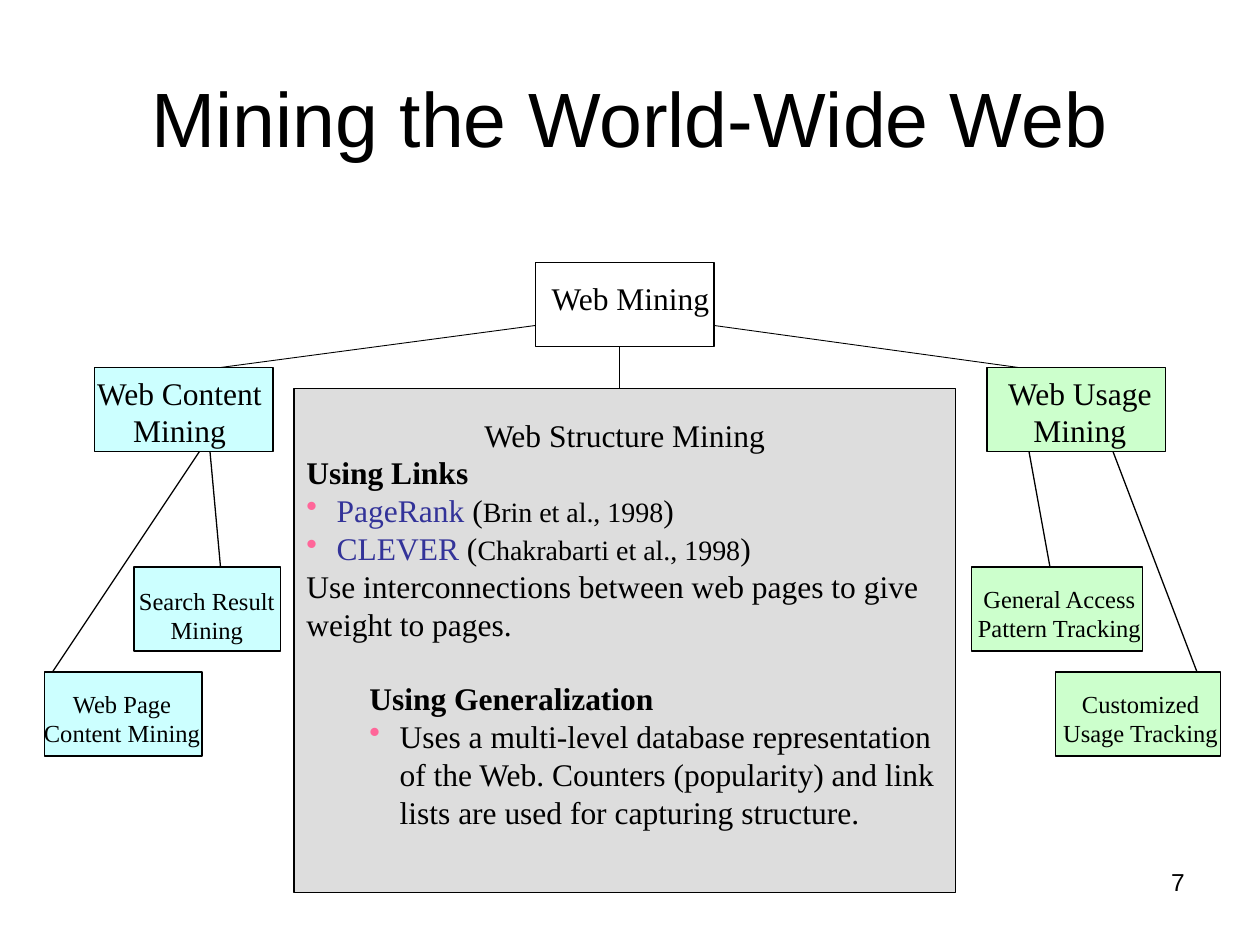
from dataclasses import dataclass
from lxml.etree import SubElement
from pptx import Presentation
from pptx.dml.color import RGBColor
from pptx.enum.shapes import MSO_CONNECTOR, MSO_SHAPE
from pptx.enum.text import MSO_ANCHOR, MSO_AUTO_SIZE, PP_ALIGN
from pptx.oxml.ns import qn
from pptx.util import Inches, Pt


@dataclass(frozen=True)
class Theme:
    ink: str = "000000"
    term: str = "333399"
    bullet: str = "FF6699"
    panel: str = "DDDDDD"
    content: str = "CCFFFF"
    usage: str = "CCFFCC"
    sans: str = "Arial"
    serif: str = "Times New Roman"
    title: int = 44
    body: int = 18
    cite: int = 16
    small: int = 14
    border: float = 0.75
    thin: float = 0.5


THEME = Theme()
COLUMNS, ROWS = 120, 90
NODE_HEIGHT = 8
LABEL_HEIGHT = {(THEME.body, 1): 4.8, (THEME.body, 2): 8.4, (THEME.small, 2): 6.85}

TITLE = "Mining the World-Wide Web"
PAGE_NUMBER = "7"
PANEL = (28, 37, 63, 48)
PANEL_TEXT = (28, 39, 63, 40.8)

# text, fill, size, box (column, row, width), label (column, row, width)
NODES = [
    ("Web Mining", None, THEME.body, (51, 25, 17), (51.25, 26, 17.6)),
    ("Web Content\nMining", THEME.content, THEME.body, (9, 35, 17), (8, 35, 18.2)),
    ("Search Result\nMining", THEME.content, THEME.small, (12.75, 54, 14), (12, 55.2, 15.4)),
    ("Web Page\nContent Mining", THEME.content, THEME.small, (4.25, 64, 15), (3, 65, 17.25)),
    ("Web Usage\nMining", THEME.usage, THEME.body, (94, 35, 17), (94.7, 35, 16.3)),
    ("General Access\nPattern Tracking", THEME.usage, THEME.small, (92.5, 54, 16.3), (91.9, 55, 18)),
    ("Customized\nUsage Tracking", THEME.usage, THEME.small, (100.5, 64, 15.75), (100, 65, 17.25)),
]

BRANCHES = [
    ((59, 33), (59, 37), THEME.border),
    ((20, 43), (21, 54), THEME.border),
    ((19, 43), (5, 64), THEME.border),
    ((98, 43), (100, 54), THEME.border),
    ((106, 43), (114, 64), THEME.border),
    ((68, 31), (97, 35), THEME.thin),
    ((51, 31), (21, 35), THEME.thin),
]

HEADING, PLAIN, ITEM, CENTRED = "heading", "plain", "item", "centred"
STRUCTURE = [
    (CENTRED, 0, 0, ["Web Structure Mining"]),
    (HEADING, 0, 0, ["Using Links"]),
    (ITEM, 0, 0, ["PageRank", " (", "Brin et al., 1998", ")"]),
    (ITEM, 0, 0, ["CLEVER", " (", "Chakrabarti et al., 1998", ")"]),
    (PLAIN, 0, 0, ["Use interconnections between web pages to give weight to pages."]),
    (HEADING, 0.5, 21, ["Using Generalization"]),
    (ITEM, 0.5, 0, ["Uses a multi-level database representation of the Web. Counters "
                    "(popularity) and link lists are used for capturing structure."]),
]
CITATION_STYLE = [(THEME.body, THEME.term), (THEME.body, THEME.ink),
                  (THEME.cite, THEME.ink), (THEME.body, THEME.ink)]
HANGING = 0.24


def style(span, size, font=THEME.serif, color=THEME.ink, bold=False):
    span.font.size = Pt(size)
    span.font.name = font
    span.font.bold = bold
    span.font.color.rgb = RGBColor.from_string(color)


def add_text(page, place, text, size, font=THEME.serif, align=PP_ALIGN.CENTER, wrap=True):
    box = page.shapes.add_textbox(*place)
    frame = box.text_frame
    frame.word_wrap = wrap
    frame.text = text
    for para in frame.paragraphs:
        para.alignment = align
        for span in para.runs:
            style(span, size, font)
    return frame


def add_box(page, place, fill):
    box = page.shapes.add_shape(MSO_SHAPE.RECTANGLE, *place)
    box.shadow.inherit = False
    if fill:
        box.fill.solid()
        box.fill.fore_color.rgb = RGBColor.from_string(fill)
    else:
        box.fill.background()
    box.line.color.rgb = RGBColor.from_string(THEME.ink)
    box.line.width = Pt(THEME.border)


def add_branch(page, start, end, width):
    line = page.shapes.add_connector(MSO_CONNECTOR.STRAIGHT, *start, *end)
    line.line.color.rgb = RGBColor.from_string(THEME.ink)
    line.line.width = Pt(width)
    SubElement(line._element.spPr, qn("a:effectLst"))


def set_indent(para, indent, bulleted):
    properties = para._p.get_or_add_pPr()
    properties.set("marL", str(Inches(indent + HANGING * bulleted)))
    properties.set("indent", str(-Inches(HANGING * bulleted)))
    if bulleted:
        color = SubElement(properties, qn("a:buClr"))
        SubElement(color, qn("a:srgbClr"), val=THEME.bullet)
        SubElement(properties, qn("a:buChar"), char="•")


def add_structure(page, place):
    frame = add_text(page, place, "", THEME.body)
    for index, (kind, indent, gap, parts) in enumerate(STRUCTURE):
        para = frame.paragraphs[0] if index == 0 else frame.add_paragraph()
        para.alignment = PP_ALIGN.CENTER if kind == CENTRED else PP_ALIGN.LEFT
        para.space_before = Pt(gap)
        set_indent(para, indent, kind == ITEM)
        styles = CITATION_STYLE if len(parts) > 1 else [(THEME.body, THEME.ink)]
        for part, (size, color) in zip(parts, styles):
            span = para.add_run()
            span.text = part
            style(span, size, color=color, bold=kind == HEADING)


def main():
    deck = Presentation()
    deck.slide_width, deck.slide_height = Inches(10), Inches(7.5)
    page = deck.slides.add_slide(deck.slide_layouts[5])

    def grid(*cells):
        units = (deck.slide_width / COLUMNS, deck.slide_height / ROWS)
        return [round(cell * units[index % 2]) for index, cell in enumerate(cells)]

    title = page.shapes.title
    title.left, title.top, title.width, title.height = grid(6, 3.6, 108, 15)
    title.text_frame.text = TITLE
    title.text_frame.vertical_anchor = MSO_ANCHOR.MIDDLE
    title.text_frame.paragraphs[0].alignment = PP_ALIGN.CENTER
    style(title.text_frame.paragraphs[0].runs[0], THEME.title, THEME.sans)

    add_text(page, grid(86, 82, 28, 6.2), PAGE_NUMBER, THEME.small, THEME.sans, PP_ALIGN.RIGHT)
    add_box(page, grid(*PANEL), THEME.panel)
    add_structure(page, grid(*PANEL_TEXT))

    for text, fill, size, box, label in NODES:
        add_box(page, grid(*box, NODE_HEIGHT), fill)
        height = LABEL_HEIGHT[size, len(text.splitlines())]
        frame = add_text(page, grid(*label, height), text, size, wrap=False)
        frame.auto_size = MSO_AUTO_SIZE.SHAPE_TO_FIT_TEXT

    for start, end, width in BRANCHES:
        add_branch(page, grid(*start), grid(*end), width)

    deck.save("out.pptx")


if __name__ == "__main__":
    main()
